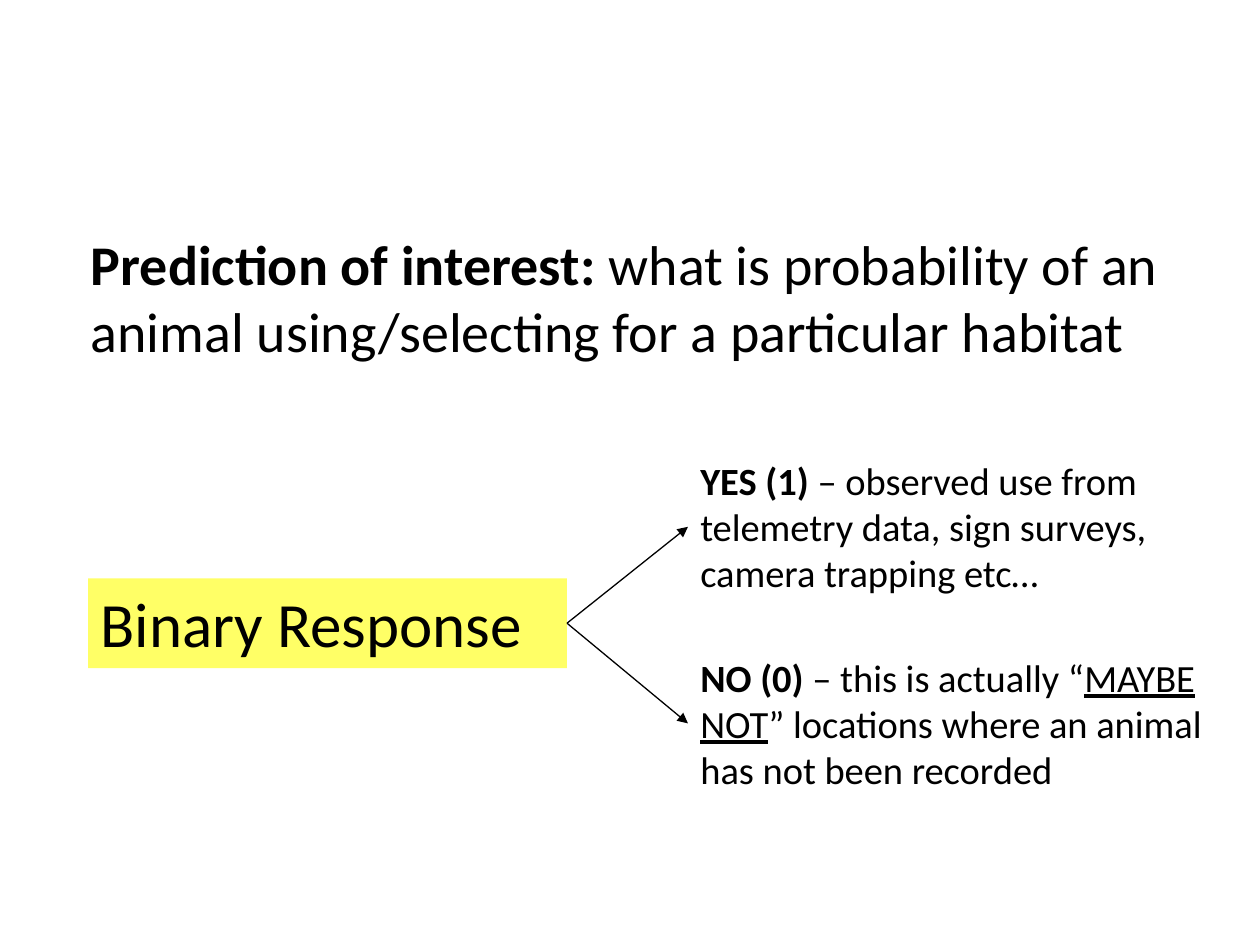
import pptx
import pptx.util
import pptx.dml.color
import pptx.enum.dml
import pptx.enum.shapes
import pptx.enum.text
import lxml.etree
from dataclasses import dataclass
from pptx.oxml.ns import qn

# Content: runs are (text, style), style is "b", "u" or ""
CLAIM = [("Prediction of interest: ", "b"),
         ("what is probability of an animal using/selecting for "
          "a particular habitat", "")]
ROOT = [("Binary Response", "")]
LEAVES = [
    # runs, top, width (shares of the slide)
    ([("YES (1) ", "b"),
      ("– observed use from telemetry data, sign surveys, "
       "camera trapping etc…", "")], 0.477, 0.386),
    ([("NO (0)", "b"), (" – this is actually “", ""), ("MAYBE NOT", "u"),
      ("” locations where an animal has not been recorded", "")],
     0.685, 0.428),
]


@dataclass
class Theme:
    face: str = "Calibri"
    ink: str = "000000"
    mark: str = "FFFF66"
    claim: int = 32
    root: int = 36
    leaf: int = 22
    line: float = 0.75


theme = Theme()
WIDE, HIGH = pptx.util.Inches(10), pptx.util.Inches(7.5)


def color(code):
    return pptx.dml.color.RGBColor.from_string(code)


def area(x, y, w, h):
    """Turn shares of the slide into lengths."""
    return [int(v) for v in (x * WIDE, y * HIGH, w * WIDE, h * HIGH)]


def write(shape, runs, size):
    frame = shape.text_frame
    frame.word_wrap = True
    frame.auto_size = pptx.enum.text.MSO_AUTO_SIZE.NONE
    frame.vertical_anchor = pptx.enum.text.MSO_ANCHOR.TOP
    para = frame.paragraphs[0]
    para.alignment = pptx.enum.text.PP_ALIGN.LEFT
    para.font.name = theme.face
    para.font.size = pptx.util.Pt(size)
    para.font.color.rgb = color(theme.ink)
    for text, style in runs:
        run = para.add_run()
        run.text = text
        run.font.bold = style == "b"
        run.font.underline = style == "u"


def link(shapes, start, end):
    """Draw an arrow from the right side of start to the left of end."""
    arrow = shapes.add_connector(
        pptx.enum.shapes.MSO_CONNECTOR.STRAIGHT, 0, 0, 0, 0)
    arrow.begin_connect(start, 3)
    arrow.end_connect(end, 1)
    arrow.line.color.rgb = color(theme.ink)
    arrow.line.width = pptx.util.Pt(theme.line)
    props = arrow.line._get_or_add_ln()
    lxml.etree.SubElement(props, qn("a:tailEnd"), type="triangle")
    lxml.etree.SubElement(arrow._element.spPr, qn("a:effectLst"))


def main():
    deck = pptx.Presentation()
    deck.slide_width, deck.slide_height = WIDE, HIGH
    slide = deck.slides.add_slide(deck.slide_layouts[5])
    shapes = slide.shapes

    # Claim
    claim = shapes.title
    claim.left, claim.top, claim.width, claim.height = area(
        0.062, 0.236, 0.887, 0.157)
    write(claim, CLAIM, theme.claim)

    # Response box
    root = shapes.add_shape(pptx.enum.shapes.MSO_SHAPE.RECTANGLE,
                            *area(0.07, 0.612, 0.38, 0.095))
    root.shadow.inherit = False
    root.fill.solid()
    root.fill.fore_color.rgb = color(theme.mark)
    root.line.fill.background()
    write(root, ROOT, theme.root)

    # Outcomes, each with its arrow
    for runs, top, width in LEAVES:
        leaf = shapes.add_textbox(*area(0.546, top, width, 0.161))
        write(leaf, runs, theme.leaf)
        link(shapes, root, leaf)

    deck.save("out.pptx")


if __name__ == "__main__":
    main()
